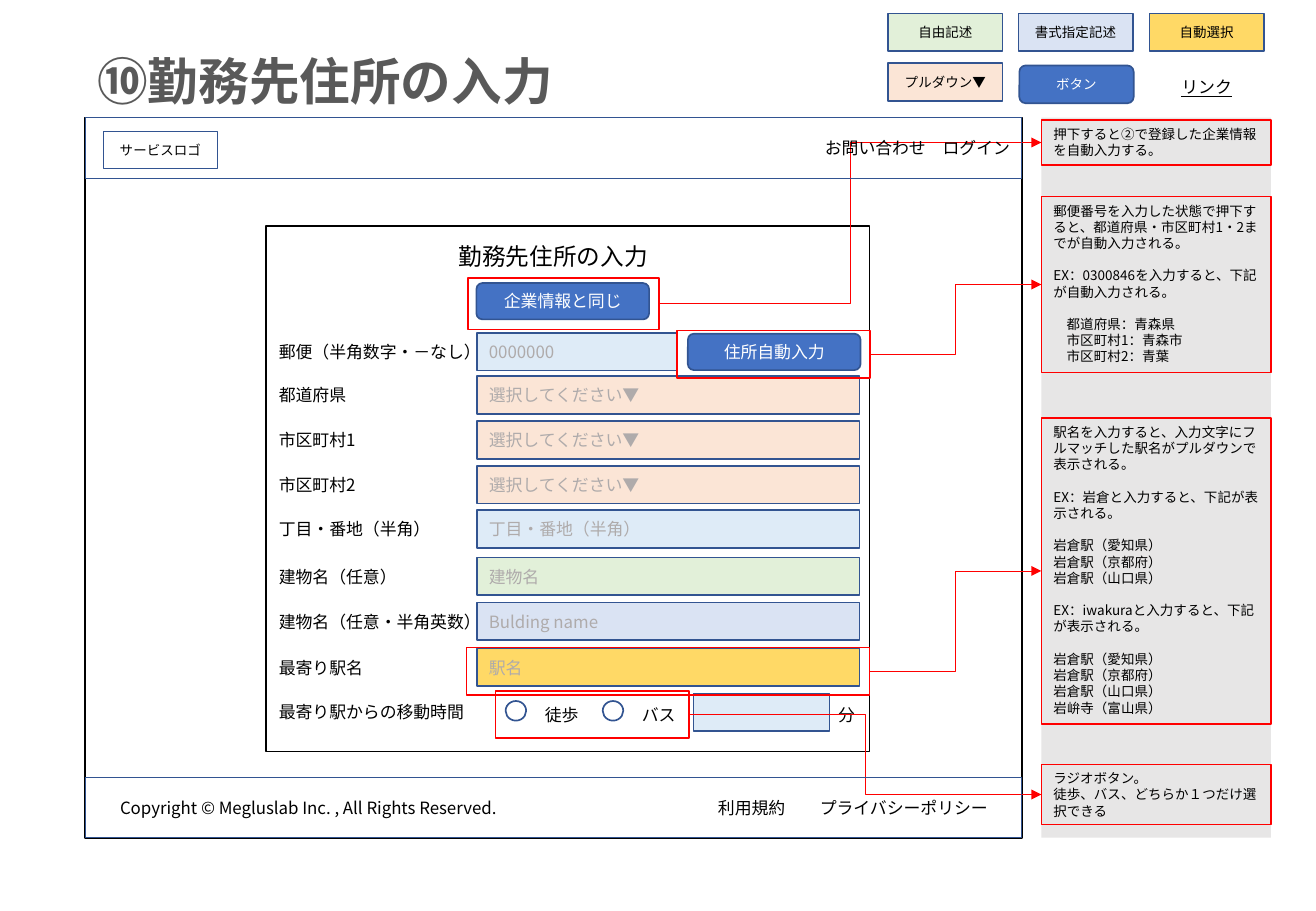
from pptx import Presentation
from pptx.dml.color import RGBColor
from pptx.enum.shapes import MSO_CONNECTOR as Link, MSO_SHAPE as Kind
from pptx.enum.text import MSO_ANCHOR as Anchor, PP_ALIGN as Align
from pptx.oxml.ns import qn
from pptx.util import Cm, Pt
from lxml.etree import SubElement

FONT = "Noto Sans CJK JP"
BLACK, WHITE, GRAY, PALE = "000000", "FFFFFF", "AFABAB", "E7E6E6"
NAVY, BLUE, RED = "325491", "4472C4", "FF0000"
FREE, FORMAT, AUTO, PULLDOWN, INPUT = "E2F0D9", "DAE3F3", "FFD966", "FBE5D6", "DEEBF7"

CHOOSE = "選択してください▼"
ROW_HEIGHT = 0.79
FIELD_LEFT, FIELD_WIDTH = 9.97, 8.0
FRAME_LEFT, FRAME_TOP, FRAME_WIDTH, FRAME_HEIGHT = 1.78, 2.46, 19.58, 15.06
BAR_HEIGHT = 1.27
NOTE_LEFT, NOTE_WIDTH = 21.77, 4.8
NOTE_LINE = 9.6

# Form rows: top, label, placeholder text, fill
ROWS = [
    (6.96, "郵便（半角数字・－なし）", "0000000", INPUT),
    (7.87, "都道府県", CHOOSE, PULLDOWN),
    (8.81, "市区町村1", CHOOSE, PULLDOWN),
    (9.74, "市区町村2", CHOOSE, PULLDOWN),
    (10.67, "丁目・番地（半角）", "丁目・番地（半角）", INPUT),
    (11.66, "建物名（任意）", "建物名", FREE),
    (12.6, "建物名（任意・半角英数）", "Bulding name", FORMAT),
    (13.56, "最寄り駅名", "駅名", AUTO),
    (14.5, "最寄り駅からの移動時間", "", INPUT),
]

# Notes: highlighted area, note top, note height, groups of (indent, lines)
STATIONS = ["岩倉駅（愛知県）", "岩倉駅（京都府）", "岩倉駅（山口県）"]
NOTES = [
    ((9.78, 5.82, 4.0, 1.07), 2.51, 0.94,
     [(0, ["押下すると②で登録した企業情報を自動入力する。"])]),
    ((14.15, 6.91, 4.04, 0.99), 4.11, 3.68,
     [(0, ["郵便番号を入力した状態で押下すると、都道府県・市区町村1・2までが自動入力される。"]),
      (0, ["EX：0300846を入力すると、下記が自動入力される。"]),
      (0.28, ["都道府県：青森県", "市区町村1：青森市", "市区町村2：青葉"])]),
    ((9.75, 13.54, 8.43, 0.99), 8.74, 6.4,
     [(0, ["駅名を入力すると、入力文字にフルマッチした駅名がプルダウンで表示される。"]),
      (0, ["EX：岩倉と入力すると、下記が表示される。"]),
      (0, STATIONS),
      (0, ["EX：iwakuraと入力すると、下記が表示される。"]),
      (0, STATIONS + ["岩峅寺（富山県）"])]),
    ((10.36, 14.45, 4.04, 0.99), 15.98, 1.27,
     [(0, ["ラジオボタン。", "徒歩、バス、どちらか１つだけ選択できる"])]),
]

# Legend: left, top, text, fill
LEGEND = [
    (18.57, 0.28, "自由記述", FREE),
    (21.29, 0.28, "書式指定記述", FORMAT),
    (24.03, 0.28, "自動選択", AUTO),
    (18.57, 1.32, "プルダウン▼", PULLDOWN),
]


def color(value):
    return RGBColor.from_string(value)


def write(para, text, size=10, ink=BLACK, bold=False, underline=False, align=Align.LEFT):
    para.alignment = align
    span = para.add_run()
    span.text = text
    font = span.font
    font.name, font.size, font.bold, font.underline = FONT, Pt(size), bold, underline
    font.color.rgb = color(ink)
    SubElement(font._element, qn("a:ea")).set("typeface", FONT)


def place_text(shape, text, **style):
    frame = shape.text_frame
    frame.word_wrap = True
    frame.vertical_anchor = Anchor.MIDDLE
    frame.margin_top = frame.margin_bottom = 0
    write(frame.paragraphs[0], text, **style)


def add_label(page, left, top, width, height, text, **style):
    box = page.shapes.add_textbox(Cm(left), Cm(top), Cm(width), Cm(height))
    place_text(box, text, **style)


def add_box(page, left, top, width, height, text="", kind=Kind.RECTANGLE,
            fill=None, line=NAVY, weight=1, **style):
    box = page.shapes.add_shape(kind, Cm(left), Cm(top), Cm(width), Cm(height))
    box.shadow.inherit = False
    if fill:
        box.fill.solid()
        box.fill.fore_color.rgb = color(fill)
    else:
        box.fill.background()
    if line:
        box.line.color.rgb = color(line)
        box.line.width = Pt(weight)
    else:
        box.line.fill.background()
    if text:
        place_text(box, text, **style)
    return box


def add_button(page, left, top, width, height, text, size=10):
    add_box(page, left, top, width, height, text, kind=Kind.ROUNDED_RECTANGLE,
            fill=BLUE, size=size, ink=WHITE, align=Align.CENTER)


def add_note(page, top, height, groups):
    box = add_box(page, NOTE_LEFT, top, NOTE_WIDTH, height, line=RED, weight=0.75)
    frame = box.text_frame
    frame.word_wrap = True
    frame.vertical_anchor = Anchor.TOP
    for group, (indent, lines) in enumerate(groups):
        for index, text in enumerate(lines):
            first = group == index == 0
            para = frame.paragraphs[0] if first else frame.add_paragraph()
            para.line_spacing = Pt(NOTE_LINE)
            if group and index == 0:
                para.space_before = Pt(NOTE_LINE)
            if indent:
                para._p.get_or_add_pPr().set("marL", str(Cm(indent)))
            write(para, text, size=8)
    return box


def add_arrow(page, source, target):
    arrow = page.shapes.add_connector(Link.ELBOW, 0, 0, 0, 0)
    arrow.begin_connect(source, 3)
    arrow.end_connect(target, 1)
    arrow.line.color.rgb = color(RED)
    arrow.line.width = Pt(0.5)
    SubElement(arrow.line._get_or_add_ln(), qn("a:tailEnd")).set("type", "triangle")
    SubElement(arrow._element.spPr, qn("a:effectLst"))


def add_title(page, text):
    title = page.shapes.title
    title.left, title.top, title.width, title.height = Cm(1.78), Cm(0.91), Cm(23.85), Cm(1.55)
    place_text(title, text, size=30, ink="595959", bold=True)


def add_legend(page):
    for left, top, text, fill in LEGEND:
        add_box(page, left, top, 2.39, 0.79, text, fill=fill, size=8, align=Align.CENTER)
    add_button(page, 21.31, 1.37, 2.39, 0.79, "ボタン", size=8)
    add_label(page, 24.03, 1.47, 2.39, 0.69, "リンク", underline=True, align=Align.CENTER)


def add_form(page):
    add_box(page, 5.56, 4.72, 12.62, 11, line=BLACK)
    add_label(page, FRAME_LEFT, 4.93, FRAME_WIDTH, 0.86, "勤務先住所の入力",
              size=14, align=Align.CENTER)
    for top, label, hint, fill in ROWS:
        left, width = FIELD_LEFT, FIELD_WIDTH
        if top == ROWS[0][0]:
            width = 4.19
        elif top == ROWS[-1][0]:
            left, width = 14.5, 2.84
        add_box(page, left, top, width, ROW_HEIGHT, hint, fill=fill, ink=GRAY)
        add_label(page, 5.58, top, 5.9, ROW_HEIGHT, label)

    # Travel time choices
    for left, text in [(10.57, "徒歩"), (12.6, "バス")]:
        add_box(page, left, 14.66, 0.43, 0.41, kind=Kind.OVAL)
        add_label(page, left + 0.57, 14.6, 1.6, 0.69, text)
    add_label(page, 17.27, 14.6, 1.09, 0.69, "分")

    add_button(page, 9.96, 5.92, 3.61, 0.76, "企業情報と同じ")
    add_button(page, 14.38, 6.98, 3.61, 0.76, "住所自動入力")


def add_header(page):
    add_box(page, FRAME_LEFT, FRAME_TOP, FRAME_WIDTH, BAR_HEIGHT,
            "お問い合わせ　ログイン", weight=0.5, align=Align.RIGHT)
    add_box(page, 2.16, 2.74, 2.39, 0.79, "サービスロゴ", weight=0.5,
            size=8, align=Align.CENTER)


def add_footer(page):
    bar = add_box(page, FRAME_LEFT, FRAME_TOP + FRAME_HEIGHT - BAR_HEIGHT,
                  FRAME_WIDTH, BAR_HEIGHT, weight=0.5)
    bar.text_frame.margin_left = Cm(0.73)
    para = bar.text_frame.paragraphs[0]
    tabs = SubElement(para._p.get_or_add_pPr(), qn("a:tabLst"))
    for position in (12.5, 14.63):
        tab = SubElement(tabs, qn("a:tab"))
        tab.set("pos", str(Cm(position)))
        tab.set("algn", "l")
    place_text(bar, "Copyright © Megluslab Inc. , All Rights Reserved."
                    "\t利用規約\tプライバシーポリシー")


def main():
    deck = Presentation()
    deck.slide_width, deck.slide_height = Cm(27.51), Cm(19.05)
    page = deck.slides.add_slide(deck.slide_layouts[5])
    add_title(page, "⑩勤務先住所の入力")

    # Note column and screen frame
    add_box(page, NOTE_LEFT, FRAME_TOP, NOTE_WIDTH, FRAME_HEIGHT, fill=PALE, line=None)
    add_box(page, FRAME_LEFT, FRAME_TOP, FRAME_WIDTH, FRAME_HEIGHT, line=BLACK)
    add_form(page)

    # Highlights with their notes
    for area, top, height, groups in NOTES:
        highlight = add_box(page, *area, line=RED)
        note = add_note(page, top, height, groups)
        add_arrow(page, highlight, note)

    add_legend(page)
    add_header(page)
    add_footer(page)
    deck.save("out.pptx")


if __name__ == "__main__":
    main()
